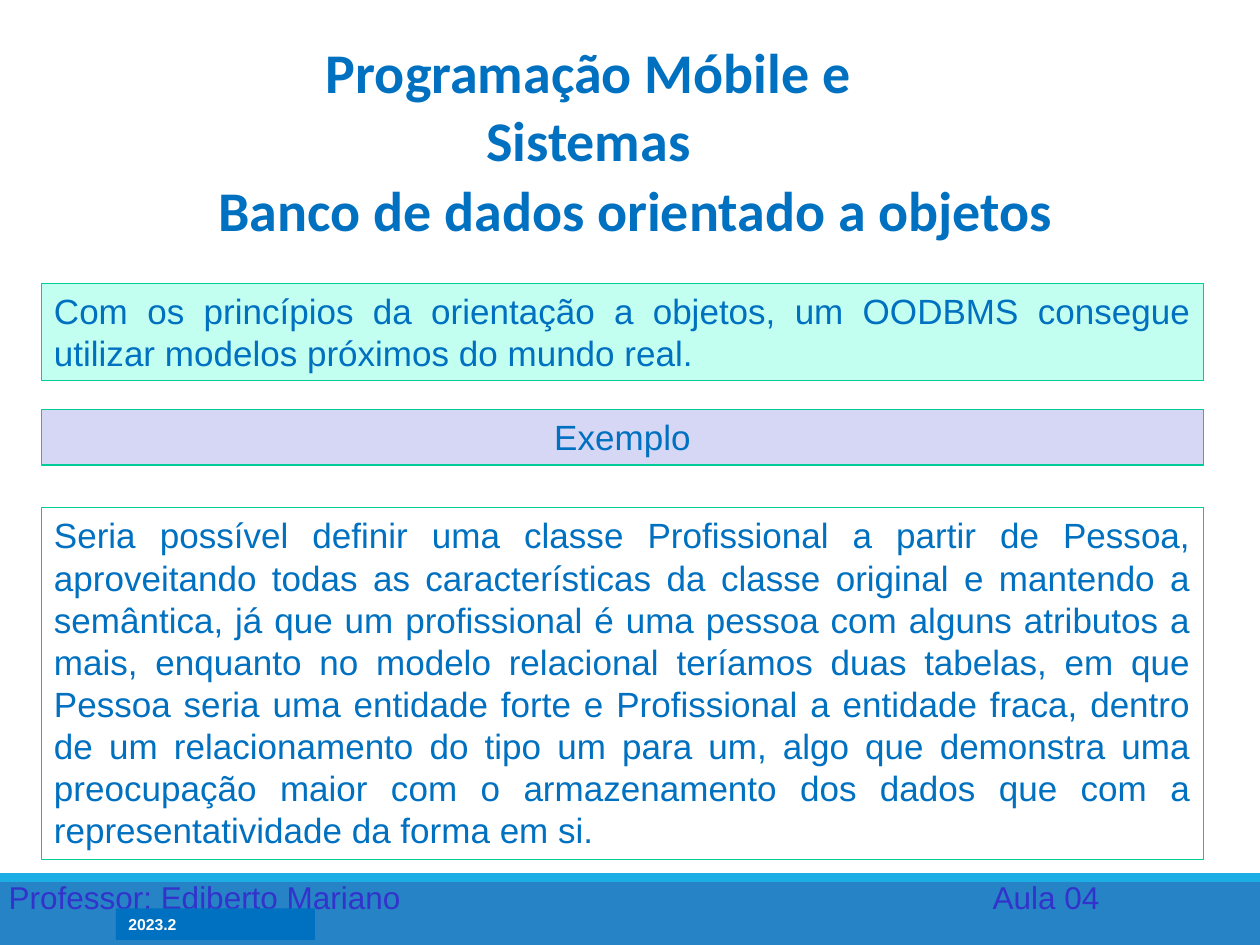
from lxml import etree
from pptx import Presentation
from pptx.dml.color import RGBColor
from pptx.enum.shapes import MSO_SHAPE
from pptx.enum.text import MSO_ANCHOR, MSO_AUTO_SIZE, PP_ALIGN
from pptx.oxml.ns import qn
from pptx.util import Inches, Pt

RECTANGLE = MSO_SHAPE.RECTANGLE
LEFT, CENTER, JUSTIFY = PP_ALIGN.LEFT, PP_ALIGN.CENTER, PP_ALIGN.JUSTIFY
TOP = MSO_ANCHOR.TOP
NO_AUTOFIT = MSO_AUTO_SIZE.NONE

COLORS = {
    "text": "0070C0",
    "footer_text": "3333CC",
    "white": "FFFFFF",
    "band": "2683C6",
    "stripe": "1CADE4",
    "border": "00CC99",
    "mint": "C2FFF0",
    "lavender": "D6D6F5",
}

presentation = Presentation()
presentation.slide_width = Inches(10)
presentation.slide_height = Inches(7.5)
slide = presentation.slides.add_slide(presentation.slide_layouts[5])


def add_rectangle(left, top, width, height, fill=None, line=None):
    shape = slide.shapes.add_shape(
        RECTANGLE, Inches(left), Inches(top), Inches(width), Inches(height))
    shape.shadow.inherit = False
    if fill:
        shape.fill.solid()
        shape.fill.fore_color.rgb = RGBColor.from_string(COLORS[fill])
    else:
        shape.fill.background()
    if line:
        shape.line.color.rgb = RGBColor.from_string(COLORS[line])
        shape.line.width = Pt(0.75)
    else:
        shape.line.fill.background()
    return shape


def write_text(shape, text, size=20, font="Arial", color="text", bold=False,
               align=LEFT, tab=None):
    """Fill a shape with one paragraph; tab is a stop in inches."""
    frame = shape.text_frame
    frame.word_wrap = True
    frame.auto_size = NO_AUTOFIT
    frame.vertical_anchor = TOP
    frame.margin_left = frame.margin_right = Inches(0.1)
    frame.margin_top = frame.margin_bottom = Inches(0.05)
    paragraph = frame.paragraphs[0]
    paragraph.alignment = align
    if tab:
        stops = etree.SubElement(paragraph._p.get_or_add_pPr(), qn("a:tabLst"))
        etree.SubElement(stops, qn("a:tab"), pos=str(Inches(tab)), algn="l")
    run = paragraph.add_run()
    run.text = text
    run.font.size = Pt(size)
    run.font.name = font
    run.font.bold = bold
    run.font.color.rgb = RGBColor.from_string(COLORS[color])


# Footer
add_rectangle(0, 6.93, 10, 0.57, fill="band")
add_rectangle(0, 6.93, 10, 0.07, fill="stripe")
footer = slide.shapes.add_textbox(
    Inches(-0.03), Inches(6.92), Inches(9), Inches(0.4))
write_text(footer, "Professor: Ediberto Mariano\tAula 04",
           size=18, color="footer_text", tab=7.81)
term = add_rectangle(0.92, 7.21, 1.58, 0.25, fill="text")
write_text(term, "2023.2", size=9, color="white", bold=True)

# Headings
title = slide.shapes.title
title.left, title.top = Inches(1.82), Inches(0.25)
title.width, title.height = Inches(5.7), Inches(0.64)
write_text(title, "Programação Móbile e Sistemas",
           size=32, font="Calibri", bold=True, align=CENTER)
subtitle = add_rectangle(0.67, 1.34, 8.75, 0.64, fill="white")
write_text(subtitle, "Banco de dados orientado a objetos",
           size=32, font="Calibri", bold=True, align=CENTER)

# Body boxes: top, height, fill, alignment, text
boxes = [
    (2.25, 0.77, "mint", JUSTIFY,
     "Com os princípios da orientação a objetos, um OODBMS consegue "
     "utilizar modelos próximos do mundo real."),
    (3.25, 0.44, "lavender", CENTER, "Exemplo"),
    (4.03, 2.79, None, JUSTIFY,
     "Seria possível definir uma classe Profissional a partir de Pessoa, "
     "aproveitando todas as características da classe original e mantendo a "
     "semântica, já que um profissional é uma pessoa com alguns atributos a "
     "mais, enquanto no modelo relacional teríamos duas tabelas, em que "
     "Pessoa seria uma entidade forte e Profissional a entidade fraca, dentro "
     "de um relacionamento do tipo um para um, algo que demonstra uma "
     "preocupação maior com o armazenamento dos dados que com a "
     "representatividade da forma em si."),
]
for top, height, fill, align, text in boxes:
    box = add_rectangle(0.33, top, 9.22, height, fill=fill, line="border")
    write_text(box, text, align=align)

presentation.save("out.pptx")
